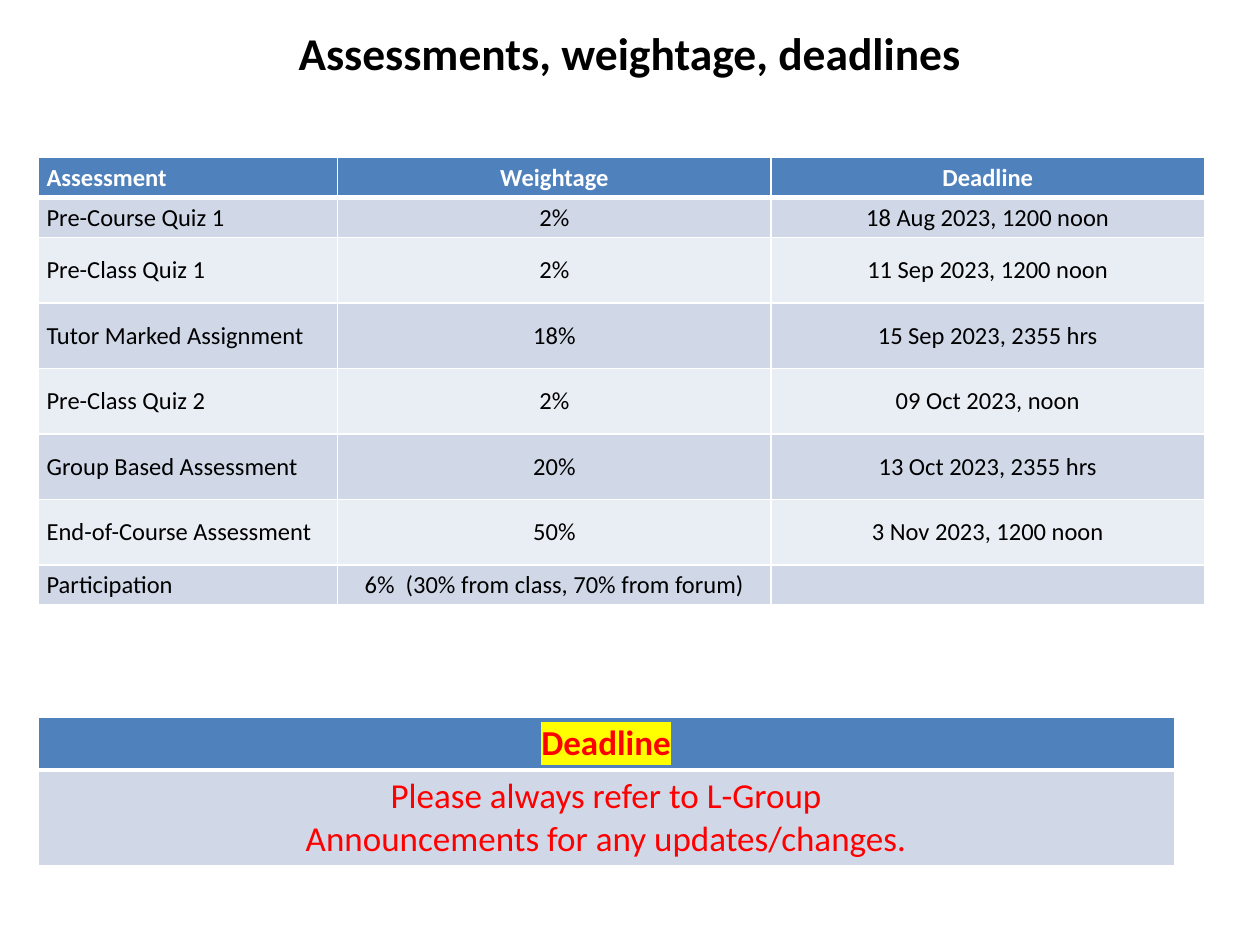
import lxml.etree
import pptx
import pptx.dml.color
import pptx.enum.text
import pptx.oxml.ns
import pptx.util

Inches = pptx.util.Inches
Pt = pptx.util.Pt
qn = pptx.oxml.ns.qn
RGBColor = pptx.dml.color.RGBColor
ALIGN = pptx.enum.text.PP_ALIGN
MIDDLE = pptx.enum.text.MSO_ANCHOR.MIDDLE

COLORS = {
    "header": "4F81BD",
    "odd": "D0D8E8",
    "even": "E9EDF4",
    "white": "FFFFFF",
    "black": "000000",
    "alert": "FF0000",
    "highlight": "FFFF00",
}


def format_paragraph(paragraph, size, color, bold, alignment):
    paragraph.alignment = alignment
    for run in paragraph.runs:
        values = {"name": "Calibri", "size": Pt(size), "bold": bold}
        for attribute, value in values.items():
            setattr(run.font, attribute, value)
        run.font.color.rgb = RGBColor.from_string(COLORS[color])
    # Keeps an empty cell from growing its row
    lxml.etree.SubElement(paragraph._p, qn("a:endParaRPr"), sz=str(size * 100))


def add_banded_table(rows, left, top, widths, heights, size, header_color,
                     body_color, first_alignment):
    table = slide.shapes.add_table(
        len(rows), len(widths), Inches(left), Inches(top),
        Inches(sum(widths)), Inches(sum(heights))).table
    for column, width in zip(table.columns, widths):
        column.width = Inches(width)
    for row_index, texts in enumerate(rows):
        table.rows[row_index].height = Inches(heights[row_index])
        is_header = row_index == 0
        fill = "header" if is_header else ("even", "odd")[row_index % 2]
        # A thick rule parts the header from the body
        borders = {"lnL": 1, "lnR": 1, "lnT": 3 if row_index == 1 else 1,
                   "lnB": 3 if is_header else 1}
        for column_index, text in enumerate(texts):
            cell = table.cell(row_index, column_index)
            cell.text = text
            cell_format = {
                "vertical_anchor": MIDDLE,
                "margin_left": Inches(0.07), "margin_right": Inches(0.07),
                "margin_top": Inches(0.04), "margin_bottom": Inches(0.04),
            }
            for attribute, value in cell_format.items():
                setattr(cell, attribute, value)
            properties = cell._tc.get_or_add_tcPr()
            for side, points in borders.items():
                line = lxml.etree.SubElement(
                    properties, qn("a:" + side), w=str(Pt(points)))
                solid = lxml.etree.SubElement(line, qn("a:solidFill"))
                lxml.etree.SubElement(
                    solid, qn("a:srgbClr"), val=COLORS["white"])
            cell.fill.solid()
            cell.fill.fore_color.rgb = RGBColor.from_string(COLORS[fill])
            for paragraph in cell.text_frame.paragraphs:
                format_paragraph(
                    paragraph, size, header_color if is_header else body_color,
                    is_header, ALIGN.CENTER if column_index else first_alignment)
    return table


presentation = pptx.Presentation()
presentation.slide_width = Inches(10)
presentation.slide_height = Inches(7.5)
slide = presentation.slides.add_slide(presentation.slide_layouts[5])

# Title
title = slide.shapes.title
title_box = {"left": 0.69, "top": 0, "width": 8.62, "height": 0.83}
for attribute, value in title_box.items():
    setattr(title, attribute, Inches(value))
title.text_frame.text = "Assessments, weightage, deadlines"
title.text_frame.vertical_anchor = MIDDLE
format_paragraph(title.text_frame.paragraphs[0], 26, "black", True, ALIGN.CENTER)

# Assessment schedule
assessments = [
    ("Assessment", "Weightage", "Deadline"),
    ("Pre-Course Quiz 1", "2%", "18 Aug 2023, 1200 noon"),
    ("Pre-Class Quiz 1", "2%", "11 Sep 2023, 1200 noon"),
    ("Tutor Marked Assignment", "18%", "15 Sep 2023, 2355 hrs"),
    ("Pre-Class Quiz 2", "2%", "09 Oct 2023, noon"),
    ("Group Based Assessment", "20%", "13 Oct 2023, 2355 hrs"),
    ("End-of-Course Assessment", "50%", "3 Nov 2023, 1200 noon"),
    ("Participation", "6%  (30% from class, 70% from forum)", ""),
]
add_banded_table(assessments, 0.3, 1.25, [2.38, 3.44, 3.44],
                 [0.32, 0.31] + [0.52] * 5 + [0.31],
                 14, "white", "black", ALIGN.LEFT)

# Deadline notice
notice = [
    ("Deadline",),
    ("Please always refer to L-Group\nAnnouncements for any updates/changes.",),
]
notice_table = add_banded_table(notice, 0.3, 5.69, [9.02], [0.41, 0.74],
                                20, "alert", "alert", ALIGN.CENTER)

# Highlight behind the notice heading
heading_run = notice_table.cell(0, 0).text_frame.paragraphs[0].runs[0]
highlight = lxml.etree.Element(qn("a:highlight"))
lxml.etree.SubElement(highlight, qn("a:srgbClr"), val=COLORS["highlight"])
heading_run._r.get_or_add_rPr().find(qn("a:solidFill")).addnext(highlight)

presentation.save("out.pptx")
